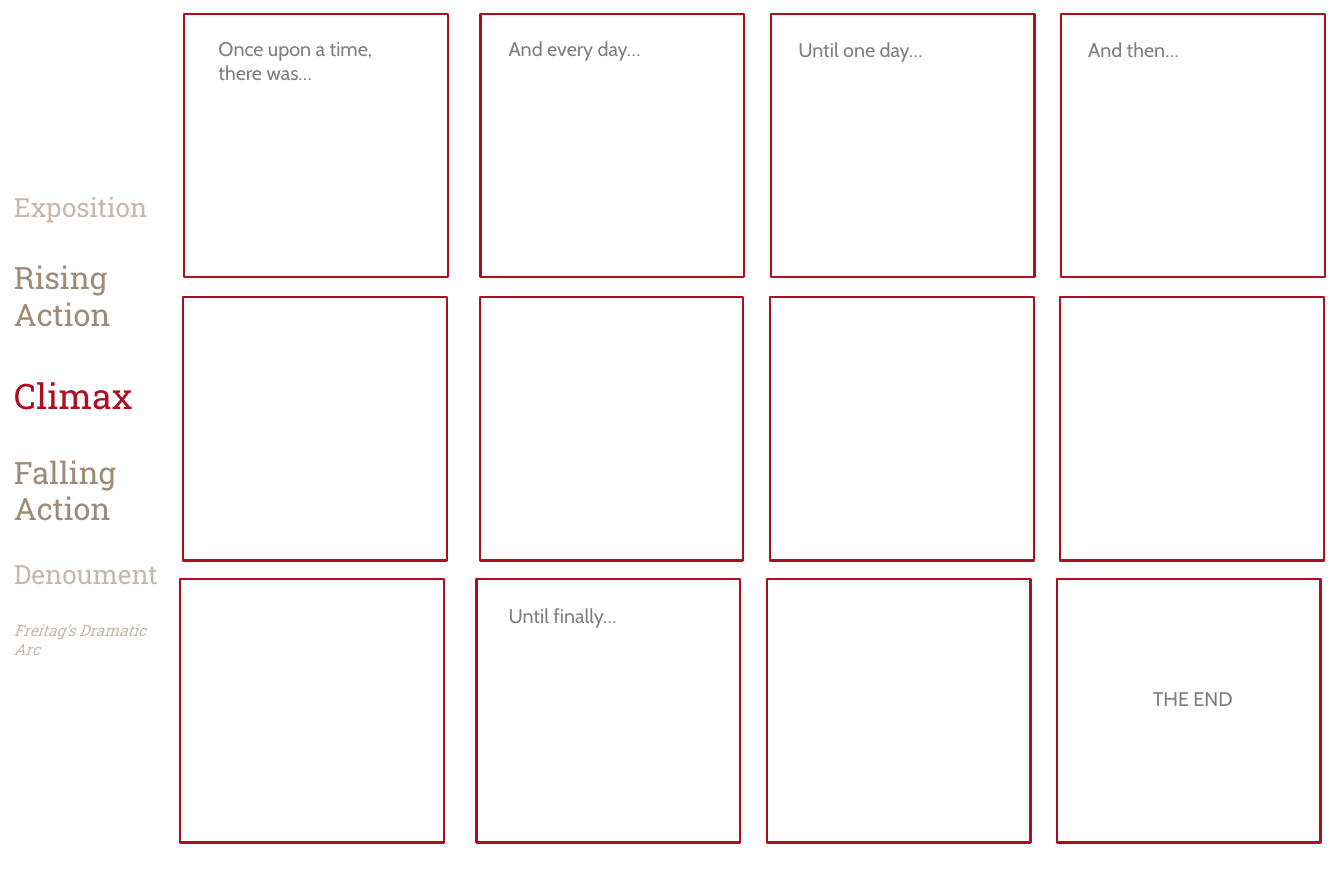
import pptx
import pptx.dml.color
import pptx.enum.shapes
import pptx.enum.text
import pptx.util

Cm = pptx.util.Cm
Pt = pptx.util.Pt

RED = "AE0D22"
BROWN = "9F8B76"
SAND = "C5B9AC"
GREY = "7F7F7F"

PANEL_SIZE = 8.47
PANEL_LEFTS = [5.92, 15.44, 24.77, 34.09]
PANEL_TOPS = [0.44, 9.53, 18.59]
ROW_SHIFTS = [0, -0.03, -0.13]

# Text, size, colour, italic, space before
STAGES = [
    ("Exposition", 24, SAND, False, 0),
    ("Rising Action", 28, BROWN, False, 33),
    ("Climax", 32, RED, False, 38),
    ("Falling Action", 28, BROWN, False, 33),
    ("Denoument", 24, SAND, False, 28.5),
    ("Freitag’s Dramatic Arc", 14, SAND, True, 28.5),
]

# Text, left, top, height
PROMPTS = [
    ("Once upon a time, there was…", 6.77, 1.07, 1.78),
    ("And every day…", 16.09, 1.07, 1.02),
    ("Until one day…", 25.4, 1.1, 1.02),
    ("And then…", 34.71, 1.1, 1.02),
    ("Until finally…", 16.09, 19.26, 1.02),
]


def colour(hex_string):
    return pptx.dml.color.RGBColor.from_string(hex_string)


def add_panel(page, left, top):
    panel = page.shapes.add_shape(
        pptx.enum.shapes.MSO_SHAPE.RECTANGLE,
        Cm(left), Cm(top), Cm(PANEL_SIZE), Cm(PANEL_SIZE))
    panel.shadow.inherit = False
    panel.fill.background()
    panel.line.color.rgb = colour(RED)
    panel.line.width = Pt(2)


def add_text_frame(page, left, top, width, height):
    box = page.shapes.add_textbox(Cm(left), Cm(top), Cm(width), Cm(height))
    frame = box.text_frame
    frame.word_wrap = True
    frame.auto_size = pptx.enum.text.MSO_AUTO_SIZE.SHAPE_TO_FIT_TEXT
    return frame


def add_span(para, text, font_name, size, hex_string, italic=False):
    span = para.add_run()
    span.text = text
    span.font.name = font_name
    span.font.size = Pt(size)
    span.font.color.rgb = colour(hex_string)
    if italic:
        span.font.italic = True


def add_stages(page):
    frame = add_text_frame(page, 0.2, 6.02, 5.59, 15.93)
    for index, (text, size, hex_string, italic, gap) in enumerate(STAGES):
        para = frame.add_paragraph() if index else frame.paragraphs[0]
        if gap:
            para.space_before = Pt(gap)
        add_span(para, text, "Roboto Slab", size, hex_string, italic)


def add_prompt(page, text, left, top, height, align=None):
    para = add_text_frame(page, left, top, 5.92, height).paragraphs[0]
    para.alignment = align
    add_span(para, text, "Cabin", 18, GREY)


def main():
    deck = pptx.Presentation()
    deck.slide_width = Cm(43.18)
    deck.slide_height = Cm(27.94)
    page = deck.slides.add_slide(deck.slide_layouts[6])
    for top, shift in zip(PANEL_TOPS, ROW_SHIFTS):
        for left in PANEL_LEFTS:
            add_panel(page, left + shift, top)
    add_stages(page)
    for prompt in PROMPTS:
        add_prompt(page, *prompt)
    add_prompt(page, "THE END", 35.36, 21.92, 1.02,
               pptx.enum.text.PP_ALIGN.CENTER)
    deck.save("out.pptx")


if __name__ == "__main__":
    main()
